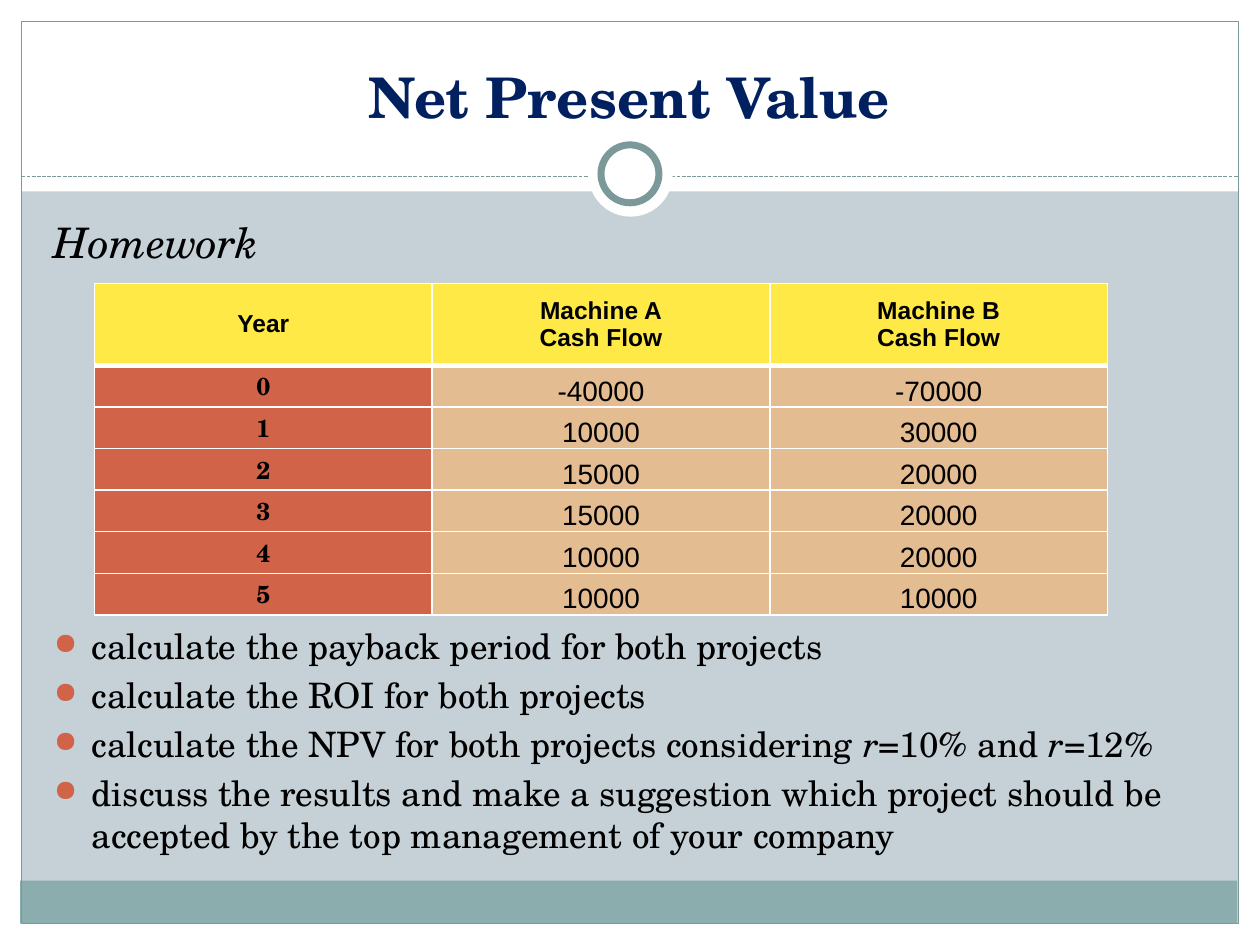
"""Build the Net Present Value homework slide."""
from lxml.etree import SubElement
from pptx import Presentation
from pptx.dml.color import RGBColor
from pptx.enum.dml import MSO_LINE
from pptx.enum.shapes import MSO_CONNECTOR, MSO_SHAPE as SHAPE
from pptx.enum.text import MSO_ANCHOR as ANCHOR, PP_ALIGN as ALIGN
from pptx.oxml.ns import qn
from pptx.util import Inches, Pt

WHITE = RGBColor(0xFF, 0xFF, 0xFF)
BLACK = RGBColor(0, 0, 0)
NAVY = RGBColor(0x00, 0x20, 0x60)
MIST = RGBColor(0xC5, 0xD1, 0xD7)
TEAL = RGBColor(0x8C, 0xAD, 0xAE)
SLATE = RGBColor(0x7C, 0x99, 0x9A)
YELLOW = RGBColor(0xFF, 0xE9, 0x47)
RUST = RGBColor(0xD1, 0x63, 0x49)
SAND = RGBColor(0xE3, 0xBC, 0x92)
SERIF, SANS = "TeX Gyre Schola", "Arial"


def add_span(para, text, color=BLACK, **formats):
    span = para.add_run()
    span.text = text
    span.font.color.rgb = color
    for name, value in formats.items():
        setattr(span.font, name, value)


def add_text_box(left, top, width, height, anchor=ANCHOR.TOP):
    frame = page.shapes.add_textbox(*map(Inches, (left, top, width, height))).text_frame
    frame.word_wrap = True
    frame.vertical_anchor = anchor
    return frame


deck = Presentation()
deck.slide_width, deck.slide_height = Inches(10), Inches(7.5)
page = deck.slides.add_slide(deck.slide_layouts[6])
page.background.fill.solid()
page.background.fill.fore_color.rgb = MIST

frame_parts = [
    (SHAPE.RECTANGLE, (0, 7.33, 10, 0.17), WHITE, None),
    (SHAPE.RECTANGLE, (0, 0, 10, 1.52), WHITE, None),
    (SHAPE.RECTANGLE, (0, 0, 0.17, 7.5), WHITE, None),
    (SHAPE.RECTANGLE, (9.83, 0, 0.17, 7.5), WHITE, None),
    (SHAPE.RECTANGLE, (0.16, 6.99, 9.66, 0.34), TEAL, None),
    (SHAPE.RECTANGLE, (0.17, 0.17, 9.66, 7.16), None, 0.75),
    (MSO_CONNECTOR.STRAIGHT, (0.17, 1.4, 9.83, 1.4), None, 0.75),
    (SHAPE.OVAL, (4.67, 1.05, 0.67, 0.67), WHITE, None),
    (SHAPE.OVAL, (4.77, 1.15, 0.46, 0.46), WHITE, 4),
]
for kind, place, fill, weight in frame_parts:
    if kind is MSO_CONNECTOR.STRAIGHT:
        part = page.shapes.add_connector(kind, *map(Inches, place))
        part.line.dash_style = MSO_LINE.SQUARE_DOT
        SubElement(part.element.spPr, qn("a:effectLst"))
    else:
        part = page.shapes.add_shape(kind, *map(Inches, place))
        part.shadow.inherit = False
        if fill is None:
            part.fill.background()
        else:
            part.fill.solid()
            part.fill.fore_color.rgb = fill
    if weight is None:
        part.line.fill.background()
    else:
        part.line.color.rgb = SLATE
        part.line.width = Pt(weight)

title = add_text_box(0.33, 0.25, 9.33, 0.83, ANCHOR.BOTTOM).paragraphs[0]
title.alignment = ALIGN.CENTER
add_span(title, "Net Present Value", NAVY, name=SERIF, size=Pt(32), bold=True)

heading = add_text_box(0.33, 1.67, 9.16, 0.5).paragraphs[0]
add_span(heading, "Homework", name=SERIF, size=Pt(24), italic=True)

cash_flows = [
    ("Year", "Machine A\nCash Flow", "Machine B\nCash Flow"),
    ("0", "-40000", "-70000"),
    ("1", "10000", "30000"),
    ("2", "15000", "20000"),
    ("3", "15000", "20000"),
    ("4", "10000", "20000"),
    ("5", "10000", "10000"),
]
table_frame = page.shapes.add_table(
    len(cash_flows), 3, Inches(0.75), Inches(2.25), Inches(8.04), Inches(2.61))
table = table_frame.table
for column in table.columns:
    column.width = Inches(2.68)
for row_index, values in enumerate(cash_flows):
    table.rows[row_index].height = Inches(0.33 if row_index else 0.65)
    for column_index, value in enumerate(values):
        if row_index == 0:
            fill, anchor = YELLOW, ANCHOR.MIDDLE
            formats = dict(name=SANS, size=Pt(14), bold=True)
        elif column_index == 0:
            fill, anchor = RUST, ANCHOR.MIDDLE
            formats = dict(name=SERIF, size=Pt(14), bold=True)
        else:
            fill, anchor = SAND, ANCHOR.BOTTOM
            formats = dict(name=SANS, size=Pt(16), bold=False)
        cell = table.cell(row_index, column_index)
        cell.vertical_anchor = anchor
        cell.margin_left = cell.margin_right = Inches(0.07)
        cell.margin_top = cell.margin_bottom = 0
        properties = cell._tc.get_or_add_tcPr()
        for side in "LRTB":
            thick = (row_index, side) in ((0, "B"), (1, "T"))
            border = SubElement(properties, qn(f"a:ln{side}"), w=str(Pt(3 if thick else 1)))
            SubElement(SubElement(border, qn("a:solidFill")), qn("a:srgbClr"), val=str(WHITE))
        cell.fill.solid()
        cell.fill.fore_color.rgb = fill
        for line_index, line in enumerate(value.split("\n")):
            frame = cell.text_frame
            para = frame.add_paragraph() if line_index else frame.paragraphs[0]
            para.alignment = ALIGN.CENTER
            add_span(para, line, **formats)

tasks = [
    ["calculate the payback period for both projects"],
    ["calculate the ROI for both projects"],
    ["calculate the NPV for both projects considering ", "r", "=10% and ", "r", "=12%"],
    ["discuss the results and make a suggestion which project should be "
     "accepted by the top management of your company"],
]
task_frame = add_text_box(0.33, 4.91, 9.16, 1.95)
for index, pieces in enumerate(tasks):
    para = task_frame.add_paragraph() if index else task_frame.paragraphs[0]
    para.space_after = Pt(4)
    properties = para._p.get_or_add_pPr()
    properties.set("marL", str(Inches(0.3)))
    properties.set("indent", str(Inches(-0.3)))
    SubElement(SubElement(properties, qn("a:buClr")), qn("a:srgbClr"), val=str(RUST))
    SubElement(properties, qn("a:buSzPct"), val="85000")
    SubElement(properties, qn("a:buChar"), char="●")
    for piece in pieces:
        add_span(para, piece, name=SERIF, size=Pt(20), italic=piece == "r")

deck.save("out.pptx")
